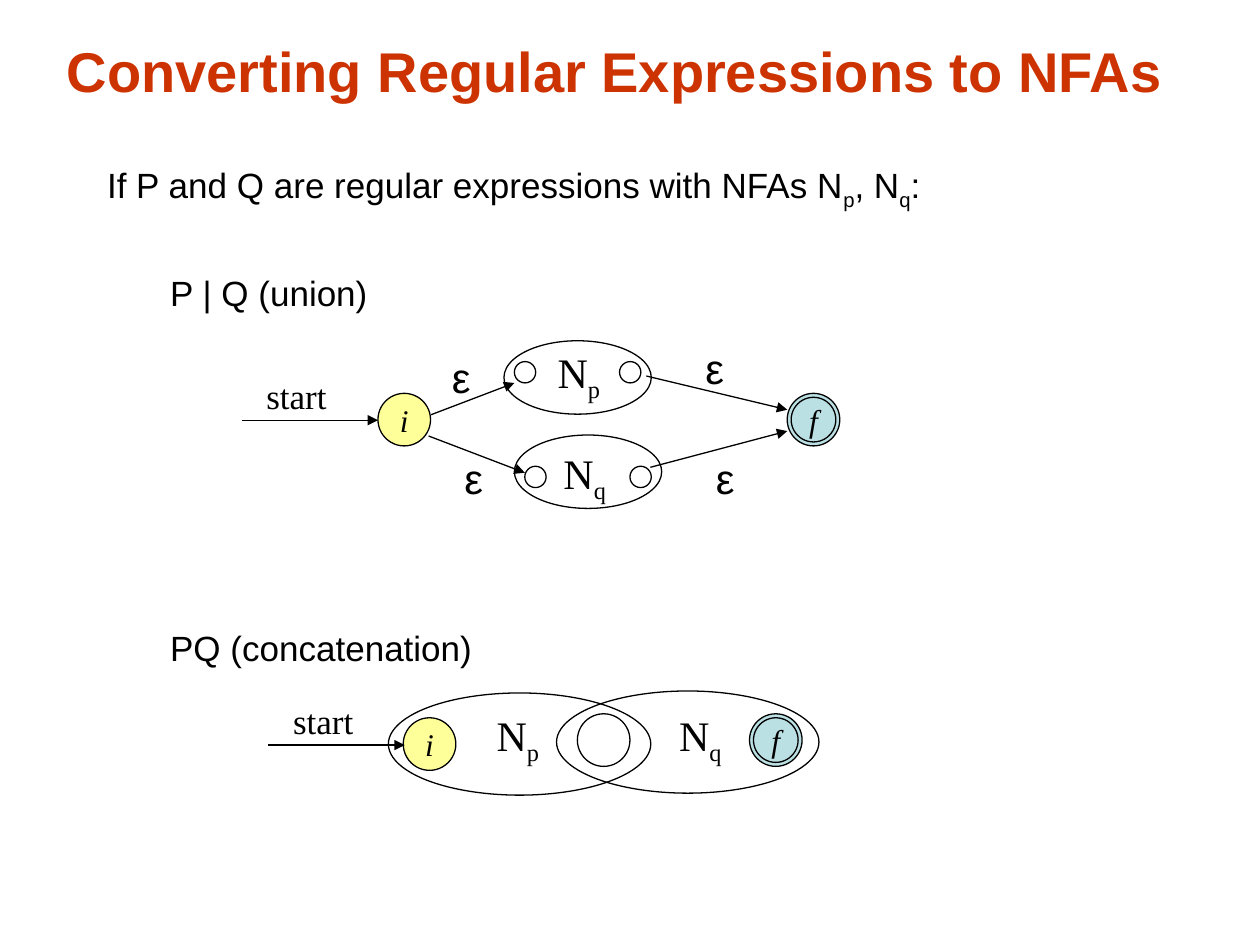
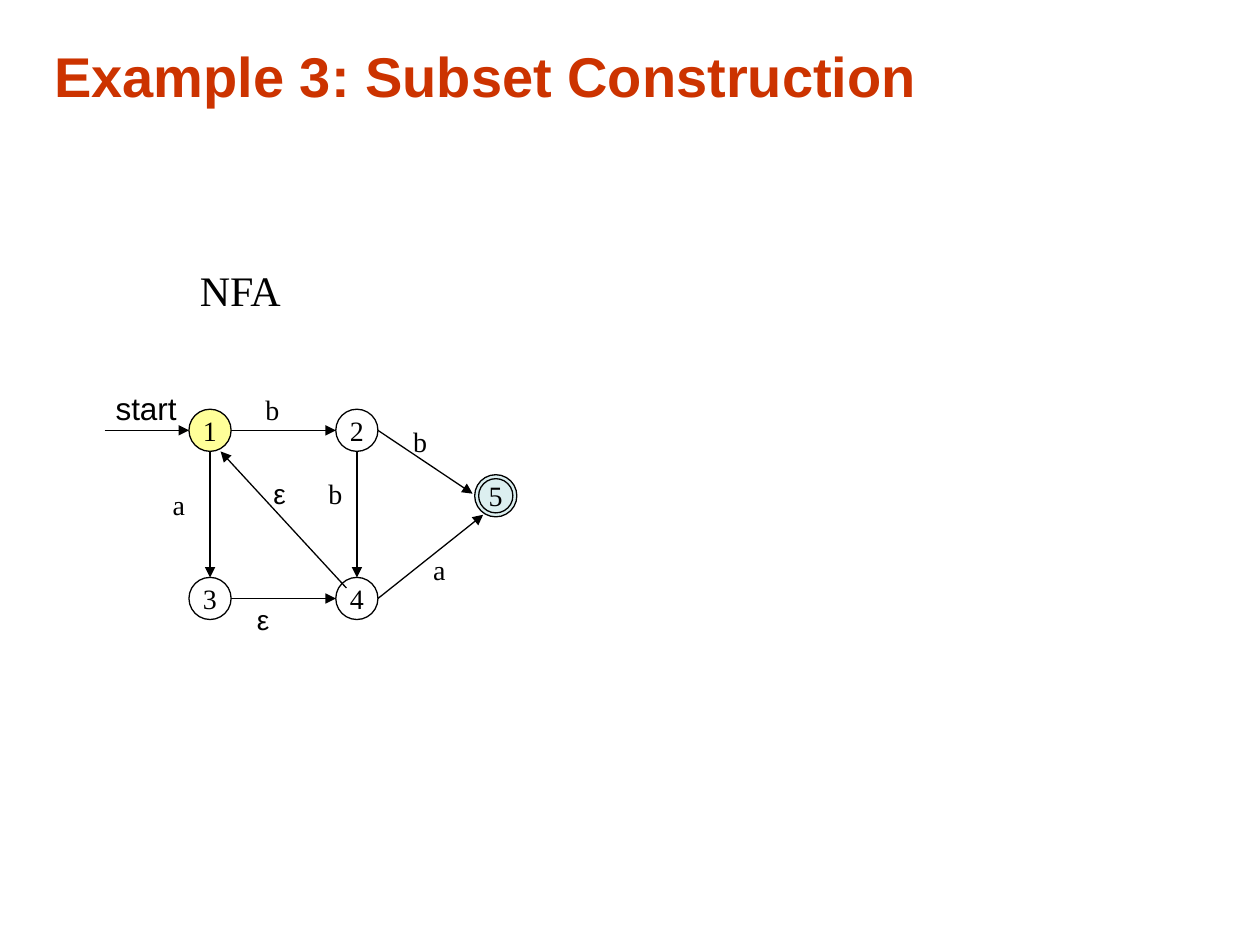
"""Builds two slides on turning regular expressions into automata."""
from lxml import etree
from pptx import Presentation
from pptx.dml.color import RGBColor
from pptx.enum import shapes, text
from pptx.oxml.ns import qn
from pptx.util import Cm, Pt

SANS, SERIF = "Arial", "Times New Roman"
BLACK, WHITE, TITLE_RED = "000000", "FFFFFF", "CC3300"
START_YELLOW, FINAL_BLUE = "FFFF99", "BBE0E3"
RING_GAP = 0.08

CONVERSION_TITLE = ("Converting Regular Expressions to NFAs", (1.09, 0.64, 22.71, 1.55))
SUBSET_TITLE = ("Example 3: Subset Construction", (0.84, 0.64, 23.88, 1.75))

STATEMENTS = [
    ("If P and Q are regular expressions with NFAs N_p_, N_q_:", 0, 0),
    ("P | Q (union)", 1.27, 34),
    ("PQ (concatenation)", 1.27, 179),
]

BIG_STATE = 1.06
PORT = 0.43
MACHINES = [
    (10.16, 6.87, 2.97, 1.48), (10.37, 8.77, 2.97, 1.48),
    (7.83, 13.97, 5.29, 2.06), (11.22, 13.93, 5.29, 2.06),
]
PORTS = [(10.37, 7.29), (12.49, 7.29), (10.58, 9.4), (12.7, 9.4)]
SHARED_STATE = (11.64, 14.39)
START_STATES = [(7.62, 7.93), (8.13, 14.47)]
FINAL_STATES = [(15.87, 7.93), (15.11, 14.39)]
MACHINE_NAMES = [
    ("N_p_", 10.99, 6.86), ("N_q_", 11.11, 8.89),
    ("N_p_", 9.76, 14.17), ("N_q_", 13.44, 14.17),
]
EPSILONS = [(8.86, 6.97), (9.11, 8.99), (14.18, 8.99), (13.97, 6.78)]
START_WORDS = [(5.12, 7.42), (5.66, 13.97)]
MOVES = [
    ((4.87, 8.47), (7.62, 8.47)), ((8.69, 8.36), (10.37, 7.72)),
    ((8.64, 8.79), (10.58, 9.53)), ((13.11, 9.42), (15.87, 8.69)),
    ((13.03, 7.58), (15.87, 8.26)), ((5.41, 15.02), (8.16, 15.02)),
]

STATE = 0.85
COLUMNS, ROWS = (3.81, 6.77), (8.25, 11.64)
STATES = {
    "1": (COLUMNS[0], ROWS[0]), "2": (COLUMNS[1], ROWS[0]),
    "3": (COLUMNS[0], ROWS[1]), "4": (COLUMNS[1], ROWS[1]),
    "5": (9.57, 9.57),
}
TOP, LEFT, BOTTOM, RIGHT = (0.5, 0), (0, 0.5), (0.5, 1), (1, 0.5)
TRANSITIONS = [
    ("1", RIGHT, "2", LEFT), ("2", BOTTOM, "4", TOP), ("1", BOTTOM, "3", TOP),
    ("3", RIGHT, "4", LEFT), ("4", RIGHT, "5", (0.2, 0.95)),
    ("2", RIGHT, "5", (-0.05, 0.45)), ("4", (0.25, 0.25), "1", (0.75, 1)),
]
SYMBOLS = [
    ("b", 5.1, 7.79), ("ε", 4.92, 12.02), ("a", 3.22, 9.7), ("b", 6.37, 9.48),
    ("b", 8.08, 8.43), ("a", 8.47, 11.01), ("ε", 5.25, 9.48),
]


def rgb(colour):
    """Return the colour of a hex string."""
    return RGBColor.from_string(colour)


def style(paragraph, size, font=SERIF, colour=BLACK, bold=False, italic=False):
    """Format every run of a paragraph."""
    for run in paragraph.runs:
        run.font.name, run.font.size = font, Pt(size)
        run.font.bold, run.font.italic = bold, italic
        run.font.color.rgb = rgb(colour)


def write(paragraph, content, size, font):
    """Write content whose subscripts stand between underscores."""
    for index, piece in enumerate(content.split("_")):
        if piece:
            run = paragraph.add_run()
            run.text = piece
            if index % 2:
                run._r.get_or_add_rPr().set("baseline", "-25000")
    style(paragraph, size, font)


def add_label(slide, content, box, size, font=SERIF, align=text.PP_ALIGN.LEFT):
    """Add a one-line label whose box grows with its text."""
    frame = slide.shapes.add_textbox(*map(Cm, box)).text_frame
    frame.word_wrap = False
    frame.auto_size = text.MSO_AUTO_SIZE.SHAPE_TO_FIT_TEXT
    frame.paragraphs[0].alignment = align
    write(frame.paragraphs[0], content, size, font)


def add_ellipse(slide, box, fill=None, alpha=None):
    """Add a thinly outlined ellipse, hollow unless a fill is given."""
    ellipse = slide.shapes.add_shape(shapes.MSO_SHAPE.OVAL, *map(Cm, box))
    ellipse.shadow.inherit = False
    ellipse.line.color.rgb, ellipse.line.width = rgb(BLACK), Pt(0.75)
    if fill is None:
        ellipse.fill.background()
    else:
        ellipse.fill.solid()
        ellipse.fill.fore_color.rgb = rgb(fill)
    if alpha:
        colour = ellipse._element.spPr.find(qn("a:solidFill"))[0]
        etree.SubElement(colour, qn("a:alpha")).set("val", str(alpha * 1000))
    return ellipse


def add_state(slide, name, corner, size, fill, points, italic=False, final=False, alpha=None):
    """Add a named state, with an inner ring when it is final."""
    left, top = corner
    frame = add_ellipse(slide, (left, top, size, size), fill, alpha).text_frame
    frame.text = name
    frame.word_wrap = False
    frame.vertical_anchor = text.MSO_ANCHOR.MIDDLE
    frame.paragraphs[0].alignment = text.PP_ALIGN.CENTER
    style(frame.paragraphs[0], points, italic=italic)
    if final:
        ring = size - 2 * RING_GAP
        add_ellipse(slide, (left + RING_GAP, top + RING_GAP, ring, ring))


def add_arrow(slide, start, end):
    """Add a straight arrow between two points."""
    arrow = slide.shapes.add_connector(shapes.MSO_CONNECTOR.STRAIGHT, *map(Cm, start + end))
    arrow.line.color.rgb, arrow.line.width = rgb(BLACK), Pt(0.75)
    etree.SubElement(arrow.line._get_or_add_ln(), qn("a:tailEnd")).set("type", "triangle")
    etree.SubElement(arrow._element.spPr, qn("a:effectLst"))


def add_titled_slide(deck, title, box):
    """Add a title-only slide with the shared title style."""
    slide = deck.slides.add_slide(deck.slide_layouts[5])
    heading = slide.shapes.title
    heading.left, heading.top, heading.width, heading.height = map(Cm, box)
    frame = heading.text_frame
    frame.text = title
    frame.auto_size = text.MSO_AUTO_SIZE.NONE
    frame.vertical_anchor = text.MSO_ANCHOR.MIDDLE
    frame.paragraphs[0].alignment = text.PP_ALIGN.LEFT
    style(frame.paragraphs[0], 32, SANS, TITLE_RED, bold=True)
    return slide


def add_statements(slide):
    """Add the rules as one text body, spaced to leave room for the diagrams."""
    frame = slide.shapes.add_textbox(Cm(1.91), Cm(3.18), Cm(21.59), Cm(11.43)).text_frame
    frame.word_wrap = True
    for index, (content, indent, before) in enumerate(STATEMENTS):
        paragraph = frame.add_paragraph() if index else frame.paragraphs[0]
        paragraph._p.get_or_add_pPr().set("marL", str(Cm(indent)))
        paragraph.space_before = Pt(before)
        write(paragraph, content, 20, SANS)


def build_conversion(deck):
    """Draw the union and concatenation automata."""
    slide = add_titled_slide(deck, *CONVERSION_TITLE)
    add_statements(slide)
    for machine in MACHINES:
        add_ellipse(slide, machine)
    for port in PORTS:
        add_ellipse(slide, port + (PORT, PORT))
    add_ellipse(slide, SHARED_STATE + (BIG_STATE, BIG_STATE))
    for corner in START_STATES:
        add_state(slide, "i", corner, BIG_STATE, START_YELLOW, 18, italic=True)
    for corner in FINAL_STATES:
        add_state(slide, "f", corner, BIG_STATE, FINAL_BLUE, 18, italic=True, final=True)
    for move in MOVES:
        add_arrow(slide, *move)
    for name, left, top in MACHINE_NAMES:
        add_label(slide, name, (left, top, 1.37, 1.42), 24)
    for corner in EPSILONS:
        add_label(slide, "ε", corner + (0.86, 1.27), 24, SANS)
    for corner in START_WORDS:
        add_label(slide, "start", corner + (1.73, 1.12), 20)


def build_subset(deck):
    """Draw the five-state automaton."""
    def point(name, side):
        """Return the place of a side, given as fractions of a state."""
        return tuple(corner + part * STATE for corner, part in zip(STATES[name], side))

    slide = add_titled_slide(deck, *SUBSET_TITLE)
    fills = {"1": START_YELLOW, "5": FINAL_BLUE}
    for name, corner in STATES.items():
        final = name == "5"
        add_state(slide, name, corner, STATE, fills.get(name, WHITE), 16,
                  final=final, alpha=50 if final else None)
    for source, leaving, target, entering in TRANSITIONS:
        add_arrow(slide, point(source, leaving), point(target, entering))
    entry = point("1", LEFT)
    add_arrow(slide, (2.11, entry[1]), entry)
    for symbol, left, top in SYMBOLS:
        add_label(slide, symbol, (left, top, 0.77, 0.94), 16,
                  SANS if symbol == "ε" else SERIF, text.PP_ALIGN.CENTER)
    add_label(slide, "NFA", (3.78, 5.21, 2.18, 1.27), 24)
    add_label(slide, "start", (2.08, 7.72, 1.8, 1.02), 18, SANS)


def main():
    """Build and save the deck."""
    deck = Presentation()
    deck.slide_width, deck.slide_height = Cm(25.4), Cm(19.05)
    build_conversion(deck)
    build_subset(deck)
    deck.save("out.pptx")


if __name__ == "__main__":
    main()
